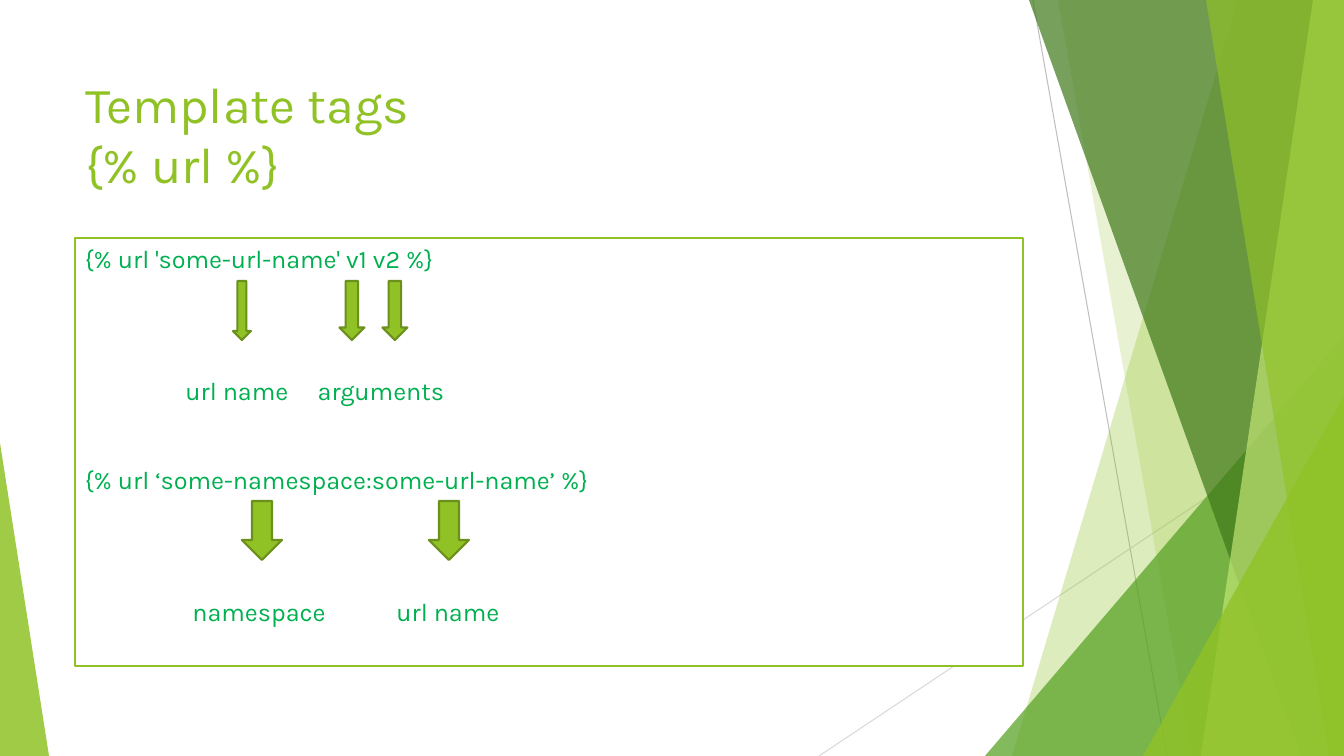
import lxml.etree
import pptx
import pptx.dml.color
import pptx.enum.shapes
import pptx.enum.text
import pptx.oxml.ns
import pptx.util

RGBColor = pptx.dml.color.RGBColor
Pt = pptx.util.Pt
MSO_SHAPE = pptx.enum.shapes.MSO_SHAPE
qn = pptx.oxml.ns.qn

EMU_PER_PX = 914400 / 100.8
SLIDE_W, SLIDE_H = 1344, 756

LIME = RGBColor(0x90, 0xC2, 0x26)
PALE_LIME = RGBColor(0xC0, 0xE4, 0x74)
LEAF = RGBColor(0x54, 0xA0, 0x21)
FOREST = RGBColor(0x3F, 0x78, 0x19)
OLIVE = RGBColor(0x6B, 0x90, 0x1C)
EMERALD = RGBColor(0x00, 0xB0, 0x50)
WHITE = RGBColor(0xFF, 0xFF, 0xFF)
GREY = RGBColor(0xBF, 0xBF, 0xBF)
PALE_GREY = RGBColor(0xD9, 0xD9, 0xD9)

TITLE_FONT = {"name": "Karla", "size": Pt(36)}
CODE_FONT = {"name": "Karla", "size": Pt(18)}
FRAME_FORMAT = {
    "word_wrap": True,
    "auto_size": pptx.enum.text.MSO_AUTO_SIZE.NONE,
    "vertical_anchor": pptx.enum.text.MSO_ANCHOR.TOP,
}

# Offsets from the frame: code line, space before it (pt), arrow top,
# arrows as (centre, width), labels as (text, centre)
EXAMPLES = [
    ("{% url 'some-url-name' v1 v2 %}", 0, 43,
     [(167, 18), (277, 25), (320, 25)],
     [("url name", 162), ("arguments", 306)]),
    ("{% url ‘some-namespace:some-url-name’ %}", 41.6, 263,
     [(187, 40), (374, 40)],
     [("namespace", 184), ("url name", 373)]),
]
LABEL_SPACE_PT = 73.1
ARROW_H = 59
TEXT_INSET = 10


def px(length):
    return pptx.util.Emu(round(length * EMU_PER_PX))


def apply(target, values):
    for key, value in values.items():
        setattr(target, key, value)


def paint(shape, colour, opacity=100, outline=None):
    """Fill a shape, with an optional outline and no shadow."""
    shape.shadow.inherit = False
    shape.fill.solid()
    shape.fill.fore_color.rgb = colour
    if opacity < 100:
        solid = shape.fill._xPr.find(qn("a:solidFill"))
        lxml.etree.SubElement(solid[0], qn("a:alpha"), val=str(opacity * 1000))
    if outline is None:
        shape.line.fill.background()
    else:
        shape.line.color.rgb = outline
        shape.line.width = Pt(1.5)


def add_preset(slide, kind, left, top, width, height):
    return slide.shapes.add_shape(kind, px(left), px(top), px(width), px(height))


def add_ray(slide, x1, y1, x2, y2, colour):
    ray = slide.shapes.add_connector(
        pptx.enum.shapes.MSO_CONNECTOR.STRAIGHT, px(x1), px(y1), px(x2), px(y2))
    ray.line.color.rgb = colour
    ray.line.width = Pt(0.75)
    lxml.etree.SubElement(ray._element.spPr, qn("a:effectLst"))


def add_band(slide, right, top, height, upper, lower, colour, opacity):
    """Full-height band: upper and lower are its widths at the two edges."""
    bottom = top + height
    outline = slide.shapes.build_freeform(right - upper, top, EMU_PER_PX)
    outline.add_line_segments(
        [(right, top), (right, bottom), (right - lower, bottom)], close=True)
    paint(outline.convert_to_shape(), colour, opacity)


def add_corner(slide, left, bottom, width, height, apex, colour, opacity):
    corner = add_preset(slide, MSO_SHAPE.ISOSCELES_TRIANGLE,
                        left, bottom - height, width, height)
    corner.adjustments[0] = apex
    paint(corner, colour, opacity)


def add_facets(slide, left, top, width, height):
    """Translucent green facets along both sides of the box."""
    right, bottom = left + width, top + height
    add_ray(slide, right - 311, top, right - 177, bottom, GREY)
    add_ray(slide, right, top + 406, right - 525, bottom, PALE_GREY)
    add_band(slide, right, top, height, 106, 332, LIME, 30)
    add_band(slide, right, top, height, 286, 152, LIME, 20)
    add_corner(slide, right - 359, bottom, 359, 420, 1, LEAF, 72)
    add_band(slide, right, top, height, 315, 43, FOREST, 70)
    add_band(slide, right, top, height, 31, 143, PALE_LIME, 70)
    add_band(slide, right, top, height, 138, 15, LIME, 65)
    add_corner(slide, right - 201, bottom, 201, 360, 1, LIME, 80)
    add_corner(slide, left, bottom, 49, 313, 0, LIME, 85)


def write_line(paragraph, text, font, colour, space_pt=0):
    paragraph.text = text
    apply(paragraph, {"alignment": pptx.enum.text.PP_ALIGN.LEFT,
                      "space_before": Pt(space_pt)})
    for run in paragraph.runs:
        apply(run.font, font)
        run.font.color.rgb = colour


def add_title(slide, left, top, width, height):
    title = slide.shapes.title
    apply(title, {"left": px(left), "top": px(top),
                  "width": px(width), "height": px(height)})
    apply(title.text_frame, FRAME_FORMAT)
    write_line(title.text_frame.paragraphs[0],
               "Template tags\v{% url %}", TITLE_FONT, LIME)


def add_examples(slide, left, top, width, height):
    """Framed code lines with arrows down to centred labels."""
    frame = add_preset(slide, MSO_SHAPE.RECTANGLE, left, top, width, height)
    paint(frame, WHITE, outline=LIME)
    text = frame.text_frame
    apply(text, FRAME_FORMAT)
    apply(text, {"margin_left": px(TEXT_INSET), "margin_right": px(TEXT_INSET)})

    for number, (code, space, arrow_top, arrows, labels) in enumerate(EXAMPLES):
        code_line = text.add_paragraph() if number else text.paragraphs[0]
        write_line(code_line, code, CODE_FONT, EMERALD, space)

        label_line = text.add_paragraph()
        write_line(label_line, "".join("\t" + label for label, _ in labels),
                   CODE_FONT, EMERALD, LABEL_SPACE_PT)
        stops = lxml.etree.SubElement(
            label_line._p.get_or_add_pPr(), qn("a:tabLst"))
        for _, centre in labels:
            lxml.etree.SubElement(stops, qn("a:tab"), algn="ctr",
                                  pos=str(px(centre - TEXT_INSET)))

        for centre, arrow_w in arrows:
            arrow = add_preset(slide, MSO_SHAPE.DOWN_ARROW,
                               left + centre - arrow_w / 2, top + arrow_top,
                               arrow_w, ARROW_H)
            paint(arrow, LIME, outline=OLIVE)


def main():
    deck = pptx.Presentation()
    apply(deck, {"slide_width": px(SLIDE_W), "slide_height": px(SLIDE_H)})
    slide = deck.slides.add_slide(deck.slide_layouts.get_by_name("Title Only"))
    add_facets(slide, 0, 0, SLIDE_W, SLIDE_H)
    add_title(slide, 75, 68, 948, 145)
    add_examples(slide, 75, 238, 948, 428)
    deck.save("out.pptx")


if __name__ == "__main__":
    main()
